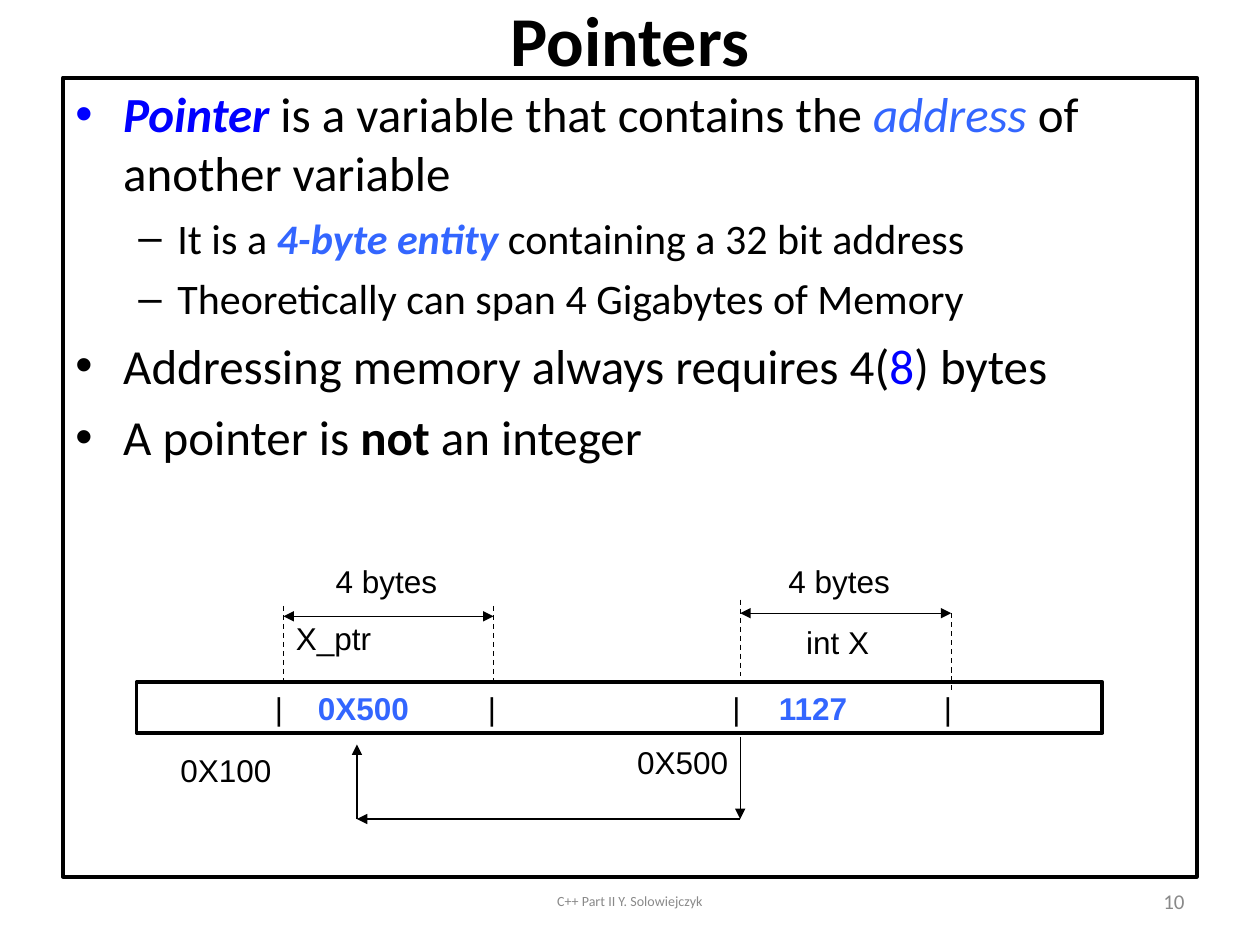
from lxml.etree import SubElement
from pptx import Presentation
from pptx.dml.color import RGBColor
from pptx.enum.dml import MSO_LINE
from pptx.enum.shapes import MSO_CONNECTOR, MSO_SHAPE
from pptx.enum.text import MSO_ANCHOR, MSO_AUTO_SIZE, PP_ALIGN
from pptx.oxml.ns import qn
from pptx.util import Inches, Pt

COLS, ROWS = 120, 90
WIDTH, HEIGHT = Inches(10), Inches(7.5)
BLACK, WHITE, GREY, BLUE, SKY = "000000", "FFFFFF", "898989", "0000FF", "3366FF"
LABEL = {"name": "Arial", "size": Pt(18)}
STRONG = {"bold": True, "color": SKY}
LEVELS = [
    {"size": 28, "indent": 0.38, "hang": 0.38, "before": 7, "char": "•"},
    {"size": 24, "indent": 0.81, "hang": 0.31, "before": 6, "char": "–"},
]
BULLETS = [
    (0, BLUE, [("Pointer", {"color": BLUE, "bold": True, "italic": True}),
               (" is a variable that contains the ", {}),
               ("address", {"color": SKY, "italic": True}),
               (" of another variable", {})]),
    (1, BLACK, [("It is a ", {}),
                ("4-byte entity", {**STRONG, "italic": True}),
                (" containing a 32 bit address", {})]),
    (1, BLACK, [("Theoretically can span 4 Gigabytes of Memory", {})]),
    (0, BLACK, [("Addressing memory always requires 4(", {}),
                ("8", {"color": BLUE}),
                (") bytes", {})]),
    (0, BLACK, [("A pointer is ", {}), ("not", {"bold": True}),
                (" an integer", {})]),
]
MEMORY = [("\t|\t", {}), ("0X500", STRONG), ("\t|\t|\t", {}),
          ("1127", STRONG), ("\t|", {})]
MEMORY_STOPS = [1, 1.34, 2.69, 4.63, 5, 6.31]


def rgb(value):
    return RGBColor.from_string(value)


def grid(col, row):
    return round(WIDTH * col / COLS), round(HEIGHT * row / ROWS)


def set_all(target, values):
    for name, value in values.items():
        setattr(target, name, value)


def add_runs(p, runs, base):
    for text, changes in runs:
        style = {"color": BLACK, **base, **changes}
        r = p.add_run()
        r.text = text
        r.font.color.rgb = rgb(style.pop("color"))
        set_all(r.font, style)


def add_text(s, box, text, base, align=PP_ALIGN.LEFT, **frame):
    sp = s.shapes.add_textbox(*grid(*box[:2]), *grid(*box[2:]))
    set_all(sp.text_frame, frame)
    p = sp.text_frame.paragraphs[0]
    p.alignment = align
    add_runs(p, [(text, {})], base)


def add_box(s, box, line, fill=None, **frame):
    sp = s.shapes.add_shape(MSO_SHAPE.RECTANGLE, *grid(*box[:2]), *grid(*box[2:]))
    sp.shadow.inherit = False
    if fill:
        sp.fill.solid()
        sp.fill.fore_color.rgb = rgb(fill)
    else:
        sp.fill.background()
    sp.line.color.rgb = rgb(line)
    sp.line.width = Pt(2.25)
    set_all(sp.text_frame, {"word_wrap": True,
                            "vertical_anchor": MSO_ANCHOR.TOP, **frame})
    sp.text_frame.paragraphs[0].alignment = PP_ALIGN.LEFT
    return sp.text_frame


def add_line(s, start, end, ends=(), dashed=False):
    c = s.shapes.add_connector(MSO_CONNECTOR.STRAIGHT, *grid(*start), *grid(*end))
    c.line.color.rgb = rgb(BLACK)
    c.line.width = Pt(0.75)
    if dashed:
        c.line.dash_style = MSO_LINE.DASH
    for end_name in ends:
        SubElement(c.line._get_or_add_ln(), qn(f"a:{end_name}"), type="triangle")
    SubElement(c._element.spPr, qn("a:effectLst"))


def add_span(s, left, right, arrow_row, left_top, right_top):
    for col, top in ((left, left_top), (right, right_top)):
        add_line(s, (col, top), (col, top + 7.3), dashed=True)
    add_line(s, (left, arrow_row), (right, arrow_row), ("headEnd", "tailEnd"))


def add_bullets(tf):
    for i, (depth, color, runs) in enumerate(BULLETS):
        level = LEVELS[depth]
        p = tf.add_paragraph() if i else tf.paragraphs[0]
        p.level = depth
        p.alignment = PP_ALIGN.LEFT
        pPr = p._p.get_or_add_pPr()
        pPr.set("marL", str(Inches(level["indent"])))
        pPr.set("indent", str(-Inches(level["hang"])))
        SubElement(SubElement(pPr, qn("a:buClr")), qn("a:srgbClr"), val=color)
        SubElement(pPr, qn("a:buFont"), typeface="Arial")
        SubElement(pPr, qn("a:buChar"), char=level["char"])
        if i:
            p.space_before = Pt(level["before"])
        add_runs(p, runs, {"name": "Calibri", "size": Pt(level["size"])})


def add_memory(s):
    p = add_box(s, (13, 65, 92, 4.8), BLACK).paragraphs[0]
    stops = SubElement(p._p.get_or_add_pPr(), qn("a:tabLst"))
    for stop in MEMORY_STOPS:
        SubElement(stops, qn("a:tab"), pos=str(Inches(stop)), algn="l")
    add_runs(p, MEMORY, LABEL)


def add_diagram(s):
    add_memory(s)
    for text, col, row, width in [
        ("4 bytes", 30.8, 52.9, 12), ("4 bytes", 73.9, 52.9, 12),
        ("X_ptr", 27, 58.4, 9.6), ("int X", 75.6, 58.7, 8.4),
        ("0X100", 16, 70.9, 11), ("0X500", 59.5, 70.2, 11),
    ]:
        add_text(s, (col, row, width, 4.8), text, LABEL, word_wrap=False,
                 margin_right=0, auto_size=MSO_AUTO_SIZE.NONE)
    add_span(s, 27, 47, 58.7, 57.7, 57.7)
    add_span(s, 70.5, 90.6, 58.4, 57.1, 58.4)
    route = [(70.5, 70.2), (70.5, 78), (34, 78), (34, 70.9)]
    for start, end in zip(route, route[1:]):
        add_line(s, start, end, ("tailEnd",))


def main():
    prs = Presentation()
    prs.slide_width, prs.slide_height = WIDTH, HEIGHT
    s = prs.slides.add_slide(prs.slide_layouts[6])

    tf = add_box(s, (6, 0, 108, 7.4), WHITE, WHITE,
                 vertical_anchor=MSO_ANCHOR.MIDDLE,
                 margin_top=0, margin_bottom=0)
    tf.paragraphs[0].alignment = PP_ALIGN.CENTER
    add_runs(tf.paragraphs[0], [("Pointers", {})],
             {"name": "Calibri", "size": Pt(40), "bold": True})

    add_bullets(add_box(s, (6, 7.4, 108, 76.1), BLACK))
    add_diagram(s)

    for box, text, size, align in [
        ((41, 83.4, 38, 4.8), "C++ Part II Y. Solowiejczyk", 8, PP_ALIGN.CENTER),
        ((86, 83.4, 28, 4.8), "10", 12, PP_ALIGN.RIGHT),
    ]:
        add_text(s, box, text, {"name": "Calibri", "size": Pt(size), "color": GREY},
                 align, word_wrap=True, vertical_anchor=MSO_ANCHOR.MIDDLE)
    prs.save("out.pptx")


if __name__ == "__main__":
    main()
